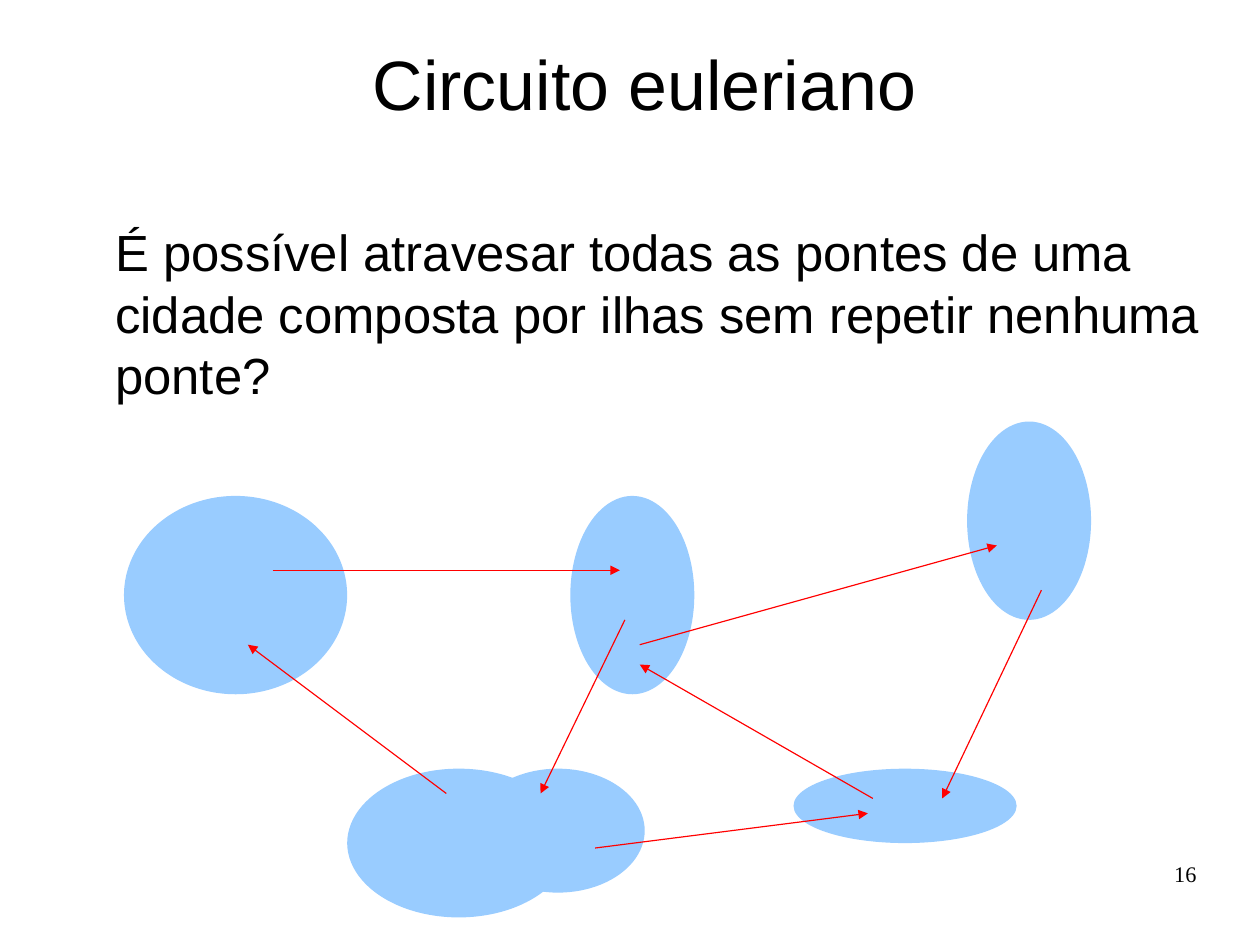
from lxml.etree import SubElement
from pptx import Presentation
from pptx.dml.color import RGBColor
from pptx.enum.shapes import MSO_CONNECTOR, MSO_SHAPE
from pptx.enum.text import MSO_ANCHOR, PP_ALIGN
from pptx.oxml.ns import qn
from pptx.util import Cm, Pt

WHITE = RGBColor(0xFF, 0xFF, 0xFF)
BLACK = RGBColor(0x00, 0x00, 0x00)
ISLAND_BLUE = RGBColor(0x99, 0xCC, 0xFF)
BRIDGE_RED = RGBColor(0xFF, 0x00, 0x00)

GRID_STEP = 15.62

ISLANDS = [
    (5, 20, 9, 8),
    (32, 31, 9, 3),
    (23, 20, 5, 8),
    (39, 17, 5, 8),
    (14, 31, 9, 6),
    (19, 31, 7, 5),
]

BRIDGES = [
    ((11, 23), (25, 23)),
    ((18, 32), (10, 26)),
    ((24, 34.2), (35, 32.8)),
    ((42, 23.8), (38, 32.2)),
    ((25.8, 26), (40.2, 22)),
    ((25.2, 25), (21.8, 32)),
    ((35.2, 32.2), (25.8, 26.8)),
]


def on_grid(*steps):
    """Turn grid columns and rows into lengths."""
    return [Pt(step * GRID_STEP) for step in steps]


def add_text(slide, place, wording, size, font="Arial", align=PP_ALIGN.LEFT,
             anchor=MSO_ANCHOR.TOP, spacing=1.0):
    """Write one paragraph in a box without margins."""
    frame = slide.shapes.add_textbox(*on_grid(*place)).text_frame
    frame.word_wrap = True
    frame.vertical_anchor = anchor
    frame.margin_left = frame.margin_right = 0
    frame.margin_top = frame.margin_bottom = 0
    paragraph = frame.paragraphs[0]
    paragraph.text = wording
    paragraph.alignment = align
    paragraph.line_spacing = spacing
    paragraph.font.name = font
    paragraph.font.size = Pt(size)
    paragraph.font.color.rgb = BLACK


def add_island(slide, place):
    """Draw an island as a plain ellipse."""
    island = slide.shapes.add_shape(MSO_SHAPE.OVAL, *on_grid(*place))
    island.shadow.inherit = False
    island.fill.solid()
    island.fill.fore_color.rgb = ISLAND_BLUE
    island.line.fill.background()


def add_bridge(slide, start, end):
    """Draw a bridge as an arrow from start to end."""
    bridge = slide.shapes.add_connector(
        MSO_CONNECTOR.STRAIGHT, *on_grid(*start, *end))
    bridge.line.color.rgb = BRIDGE_RED
    bridge.line.width = Pt(0.75)
    outline = bridge._element.spPr.find(qn("a:ln"))
    SubElement(outline, qn("a:tailEnd"), type="triangle")
    SubElement(bridge._element.spPr, qn("a:effectLst"))


def main():
    """Build the slide on the Eulerian circuit."""
    deck = Presentation()
    deck.slide_width, deck.slide_height = Cm(28), Cm(21)
    slide = deck.slides.add_slide(deck.slide_layouts[6])
    slide.background.fill.solid()
    slide.background.fill.fore_color.rgb = WHITE

    add_text(slide, (8, 1.57, 36, 3.45), "Circuito euleriano", 44,
             align=PP_ALIGN.CENTER, anchor=MSO_ANCHOR.MIDDLE, spacing=1.02)
    add_text(slide, (4.65, 8.88, 44.4, 21.9),
             "É possível atravesar todas as pontes de uma cidade composta "
             "por ilhas sem repetir nenhuma ponte?", 32, spacing=1.01)
    for place in ISLANDS:
        add_island(slide, place)
    for start, end in BRIDGES:
        add_bridge(slide, start, end)
    add_text(slide, (36.4, 34.7, 11.85, 2.6), "16", 14,
             font="Times New Roman", align=PP_ALIGN.RIGHT)
    deck.save("out.pptx")


if __name__ == "__main__":
    main()
